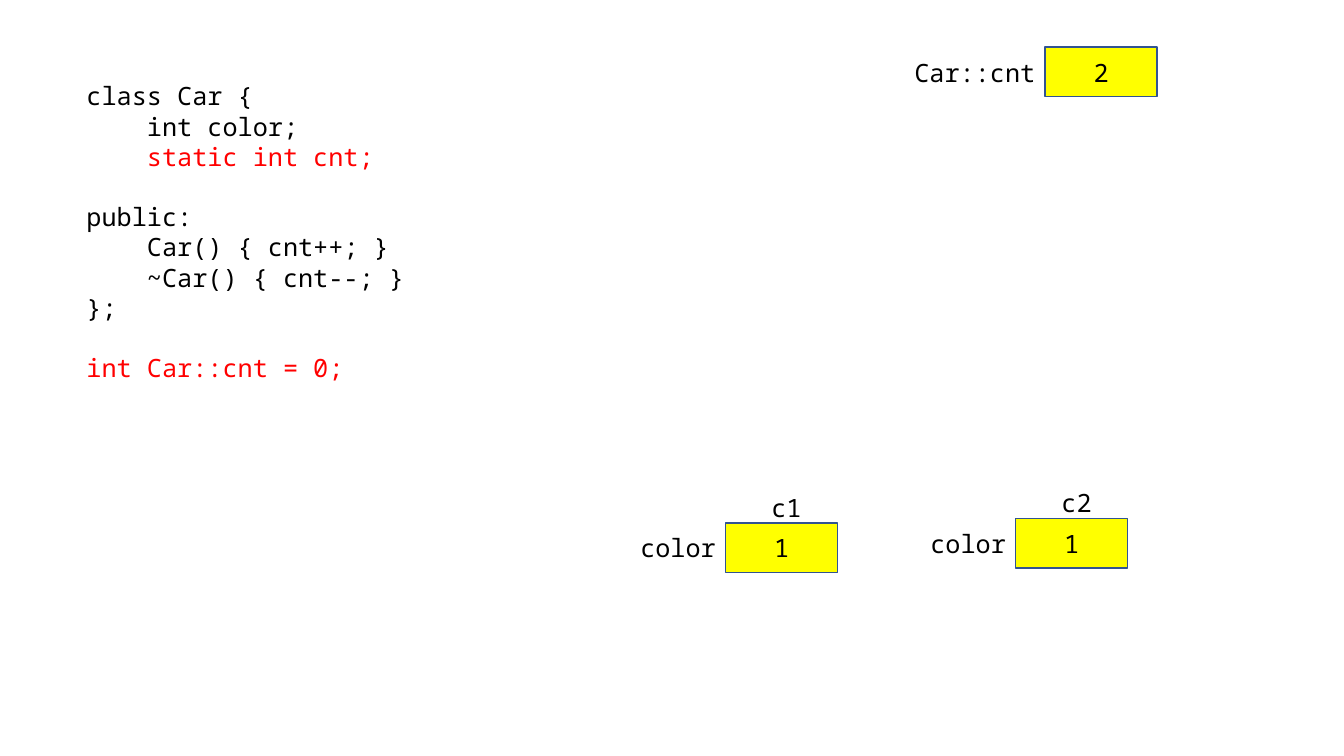
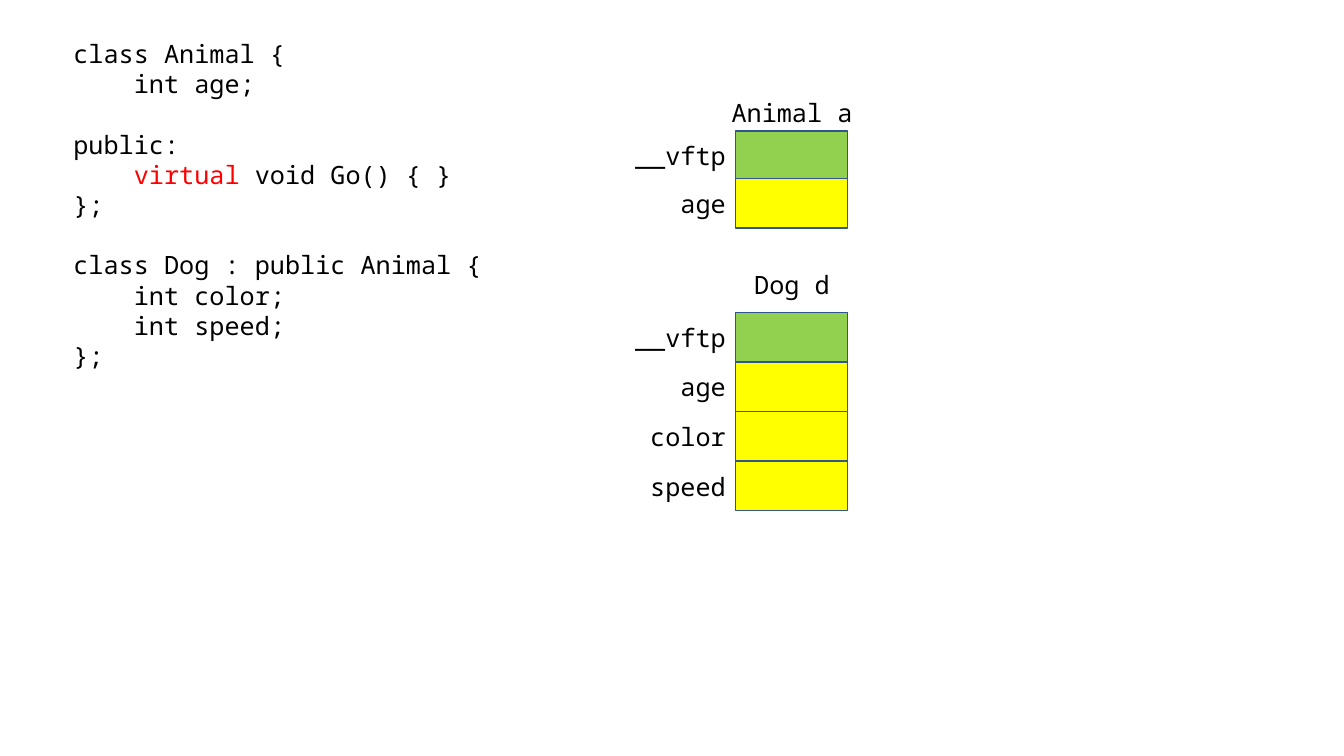
from pptx import Presentation
from pptx.dml.color import RGBColor as RGB
from pptx.enum.shapes import MSO_SHAPE as SHAPE
from pptx.enum.text import MSO_ANCHOR as ANCHOR, PP_ALIGN as ALIGN
from pptx.util import Cm, Pt

HUES = {
    "ink": "000000",
    "red": "FF0000",
    "data": "FFFF00",
    "table": "92D050",
    "edge": "325491",
}
FONT = "Noto Sans Mono"
SIZE = Pt(18)
GAP = Pt(21.5)
CELL_W, CELL_H = 2.82, 1.25

CAR = """class Car {
    int color;
    |static int cnt;|

public:
    Car() { cnt++; }
    ~Car() { cnt--; }
};

|int Car::cnt = 0;|"""

DOG = """class Animal {
    int age;

public:
    |virtual| void Go() { }
};

class Dog : public Animal {
    int color;
    int speed;
};"""


class Deck:
    def __init__(self):
        self.prs = Presentation()
        self.prs.slide_width, self.prs.slide_height = Cm(33.87), Cm(19.05)
        self.slide = None

    def page(self):
        self.slide = self.prs.slides.add_slide(self.prs.slide_layouts[6])

    def hue(self, name):
        return RGB.from_string(HUES[name])

    def style(self, para, align):
        para.alignment = align
        para.font.name, para.font.size = FONT, SIZE
        para.font.color.rgb = self.hue("ink")

    def frame(self, x, y, w, h):
        box = self.slide.shapes.add_textbox(Cm(x), Cm(y), Cm(w), Cm(h))
        box.text_frame.word_wrap = True
        return box.text_frame

    def label(self, x, y, w, text, align=ALIGN.RIGHT):
        para = self.frame(x, y, w, 1.02).paragraphs[0]
        para.text = text
        self.style(para, align)

    def code(self, x, y, w, h, text):
        frame = self.frame(x, y, w, h)
        para = frame.paragraphs[0]
        for b, block in enumerate(text.split("\n\n")):
            for n, line in enumerate(block.split("\n")):
                if b or n:
                    para = frame.add_paragraph()
                if b and not n:
                    para.space_before = GAP
                self.style(para, ALIGN.LEFT)
                for i, part in enumerate(line.split("|")):
                    if part:
                        run = para.add_run()
                        run.text = part
                        if i % 2:
                            run.font.color.rgb = self.hue("red")

    def cell(self, x, y, name, value="", hue="data", wide=3.2):
        box = self.slide.shapes.add_shape(
            SHAPE.RECTANGLE, Cm(x), Cm(y), Cm(CELL_W), Cm(CELL_H))
        box.shadow.inherit = False
        box.fill.solid()
        box.fill.fore_color.rgb = self.hue(hue)
        box.line.color.rgb = self.hue("edge")
        box.line.width = Pt(1)
        if value:
            box.text_frame.vertical_anchor = ANCHOR.MIDDLE
            para = box.text_frame.paragraphs[0]
            para.text = value
            self.style(para, ALIGN.CENTER)
        self.label(x - wide, y + 0.12, wide, name)

    def stack(self, x, y, title, rise, step, names):
        self.label(x - 0.58, y - rise, 4, title, ALIGN.CENTER)
        for i, name in enumerate(names):
            hue = "data" if i else "table"
            self.cell(x, y + i * step, name, hue=hue)


def main():
    deck = Deck()

    deck.page()
    deck.code(1.93, 1.91, 16.94, 8.74, CAR)
    for x, y, name in ((18.29, 13.18, "c1"), (25.6, 13.06, "c2")):
        deck.cell(x, y, "color", "1")
        deck.label(x - 1.02, y - 0.91, 3.18, name)
    deck.cell(26.34, 1.19, "Car::cnt", "2", wide=3.58)

    deck.page()
    deck.code(1.6, 0.84, 13.18, 8.71, DOG)
    deck.stack(18.54, 3.3, "Animal a", 0.97, 1.2, ("__vftp", "age"))
    deck.stack(18.54, 7.87, "Dog d", 1.22, CELL_H,
               ("__vftp", "age", "color", "speed"))

    deck.prs.save("out.pptx")


if __name__ == "__main__":
    main()
